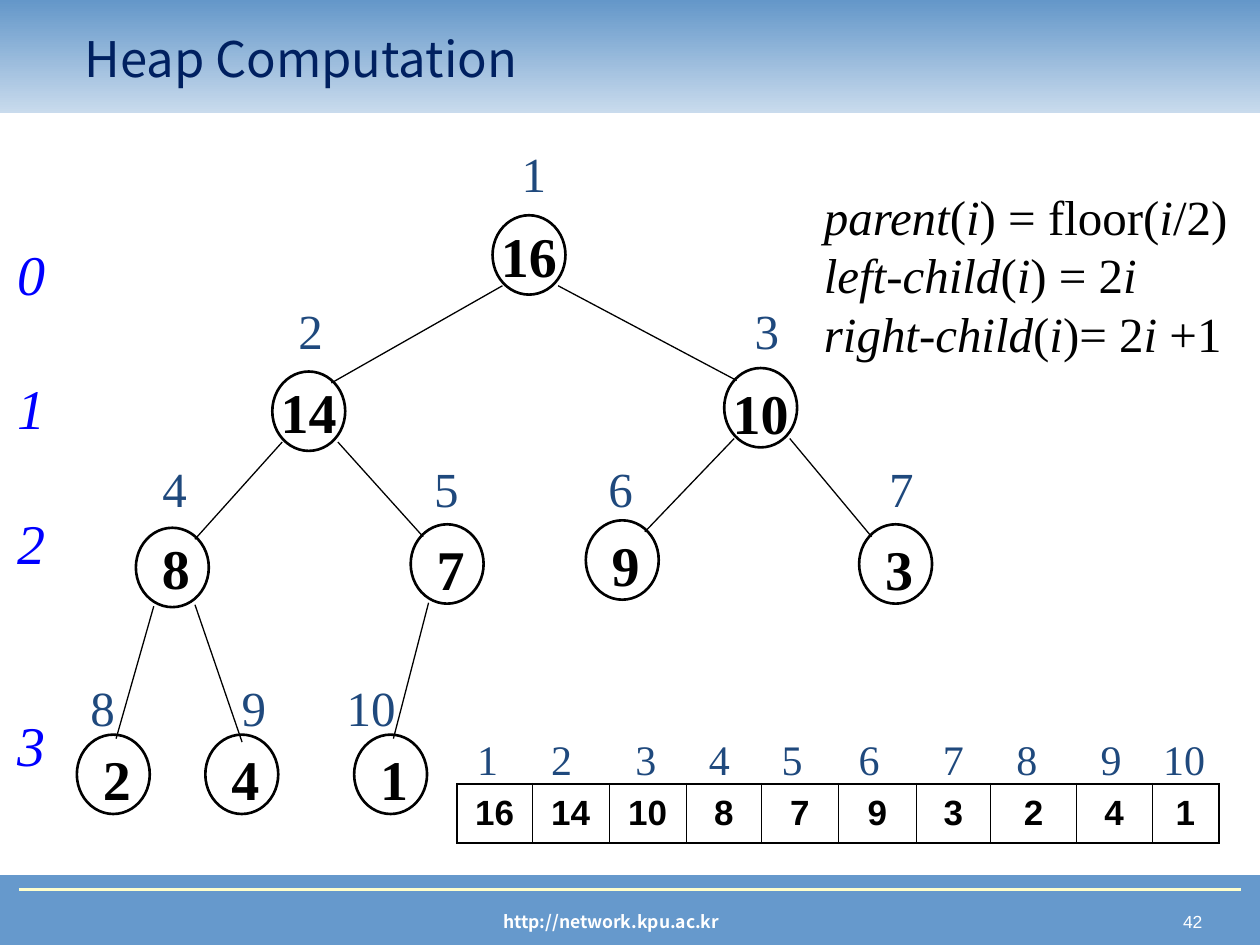
from lxml.etree import SubElement
from pptx import Presentation
from pptx.dml.color import RGBColor
from pptx.enum.shapes import MSO_CONNECTOR, MSO_SHAPE
from pptx.enum.text import MSO_ANCHOR, PP_ALIGN
from pptx.oxml.ns import qn
from pptx.util import Cm, Pt

WHITE = RGBColor(0xFF, 0xFF, 0xFF)
BLACK = RGBColor(0x00, 0x00, 0x00)
NAVY = RGBColor(0x00, 0x20, 0x60)
INDEX_BLUE = RGBColor(0x1F, 0x49, 0x7D)
LEVEL_BLUE = RGBColor(0x00, 0x00, 0xFF)
BAND_BLUE = RGBColor(0x66, 0x99, 0xCC)
HEADER_TOP = RGBColor(0x64, 0x97, 0xC9)
HEADER_BOTTOM = RGBColor(0xC9, 0xDB, 0xED)
CREAM = RGBColor(0xFF, 0xFF, 0xCC)
SERIF, SANS, KOREAN = "Times New Roman", "Arial", "Noto Sans CJK KR"

HEAP = [16, 14, 10, 8, 7, 9, 3, 2, 4, 1]
NODE_WIDTH, NODE_HEIGHT = 1.47, 1.6
# Node left and top, then the centre of its index, inside the tree box.
NODE_PLACES = [
    (8.43, 1.57, 9.26),
    (3.99, 4.72, 4.76), (13.1, 4.65, 13.96),
    (1.24, 7.87, 2.02), (6.78, 7.8, 7.5), (10.31, 7.72, 11.01), (15.82, 7.8, 16.67),
    (0.05, 12.04, 0.57), (2.64, 12.04, 3.62), (5.64, 12.04, 5.98),
]
INDEX_TOPS = [0, 3.17, 6.35, 10.77]
# Edge start in the parent and end in the child: left child, right child.
EDGE_ENDS = [((0.2, 1.42), (1.19, 0.23)), ((1.32, 1.42), (0.25, 0.25))]
LEAF_EDGE_ENDS = [((0.36, 1.58), (0.79, 0.08)), ((1.19, 1.55), (0.74, 0.15))]
COLUMN_WIDTHS = [1.52, 1.55, 1.55, 1.52, 1.55, 1.57, 1.5, 1.73, 1.52, 1.35]
INDEX_STOPS = [0.41, 1.9, 3.6, 5.08, 6.55, 8.1, 9.8, 11.28, 12.98, 14.45]


def write(frame, text, size, font, color, bold=False, align=PP_ALIGN.LEFT,
          anchor=MSO_ANCHOR.TOP, wrap=True, leading=None, gaps=(), stops=()):
    """Fill a frame, one paragraph a line; *asterisks* enclose italics."""
    frame.word_wrap = wrap
    frame.vertical_anchor = anchor
    for number, line in enumerate(text.split("\n")):
        paragraph = frame.add_paragraph() if number else frame.paragraphs[0]
        paragraph.alignment = align
        if leading:
            paragraph.line_spacing = Pt(size * leading)
        if number and gaps:
            paragraph.space_before = Pt(gaps[number - 1])
        if stops:
            tab_list = SubElement(paragraph._p.get_or_add_pPr(), qn("a:tabLst"))
            for stop in stops:
                SubElement(tab_list, qn("a:tab"), pos=str(Cm(stop)), algn="ctr")
        for part, piece in enumerate(line.split("*")):
            if piece:
                run = paragraph.add_run()
                run.text = piece
                run.font.size, run.font.name = Pt(size), font
                run.font.bold, run.font.italic = bold, part % 2 == 1
                run.font.color.rgb = color


def add_label(slide, left, top, width, height, text, size, font=SERIF, color=BLACK, **options):
    label = slide.shapes.add_textbox(Cm(left), Cm(top), Cm(width), Cm(height))
    if font == SERIF:
        options.setdefault("leading", 1.2)
    write(label.text_frame, text, size, font, color, **options)


def add_line(slide, start, end, color, width):
    line = slide.shapes.add_connector(
        MSO_CONNECTOR.STRAIGHT, *(Cm(value) for value in (*start, *end)))
    line.line.color.rgb = color
    line.line.width = Pt(width)
    SubElement(line._element.spPr, qn("a:effectLst"))


def add_outline(slide, kind, left, top, width, height):
    """Add a preset shape without shadow, fill or line."""
    outline = slide.shapes.add_shape(kind, Cm(left), Cm(top), Cm(width), Cm(height))
    outline.shadow.inherit = False
    outline.fill.background()
    outline.line.fill.background()
    return outline


def add_header(slide, left, top, width, height):
    band = add_outline(slide, MSO_SHAPE.RECTANGLE, left, top, width, height)
    band.fill.gradient()
    band.fill.gradient_angle = 90
    for stop, color in zip(band.fill.gradient_stops, (HEADER_BOTTOM, HEADER_TOP)):
        stop.color.rgb = color
    title = slide.shapes.title
    title.left, title.top = Cm(left + 1.45), Cm(top + 0.08)
    title.width, title.height = Cm(23.6), Cm(height - 0.1)
    write(title.text_frame, "Heap Computation", 28, KOREAN, NAVY, anchor=MSO_ANCHOR.MIDDLE)
    title.element.getparent().append(title.element)  # bring in front of the band


def add_footer(slide, left, top, width, height):
    band = add_outline(slide, MSO_SHAPE.RECTANGLE, left, top, width, height)
    band.fill.solid()
    band.fill.fore_color.rgb = BAND_BLUE
    band.line.color.rgb = BAND_BLUE
    band.line.width = Pt(0.75)
    add_line(slide, (left + 0.38, top + 0.28), (left + width - 0.38, top + 0.28), CREAM, 1.5)
    add_label(slide, left + 5.77, top + 0.59, 13.1, 0.69, "http://network.kpu.ac.kr", 10,
              KOREAN, WHITE, bold=True, align=PP_ALIGN.CENTER)
    add_label(slide, left + 18.85, top + 0.59, 5.64, 0.69, "42", 10,
              SANS, WHITE, align=PP_ALIGN.RIGHT)


def add_tree(slide, left, top):
    nodes = [(left + x, top + y, left + centre) for x, y, centre in NODE_PLACES]
    for index, (key, (x, y, centre)) in enumerate(zip(HEAP, nodes), start=1):
        level = index.bit_length() - 1
        if index > 1:
            parent_x, parent_y, _ = nodes[index // 2 - 1]
            ends = LEAF_EDGE_ENDS if level == 3 else EDGE_ENDS
            start, end = ends[index % 2]
            add_line(slide, (parent_x + start[0], parent_y + start[1]),
                     (x + end[0], y + end[1]), BLACK, 0.75)
        circle = add_outline(slide, MSO_SHAPE.OVAL, x, y, NODE_WIDTH, NODE_HEIGHT)
        circle.line.color.rgb = BLACK
        circle.line.width = Pt(1.5)
        key_shift = 0.27 if key > 9 else 0.2
        key_drop = 0 if index in (1, 2, 4) else 0.08
        add_label(slide, x - key_shift, y + key_drop, 2.01, 1.63, str(key), 32,
                  bold=True, align=PP_ALIGN.CENTER)
        index_width = 1.5 if index > 9 else 1
        add_label(slide, centre - index_width / 2, top + INDEX_TOPS[level], index_width, 1.45,
                  str(index), 28, color=INDEX_BLUE, align=PP_ALIGN.CENTER, wrap=False)


def add_levels(slide, left, top):
    add_label(slide, left, top, 1.07, 11.1, "*0*\n*1*\n*2*\n*3*", 32, color=LEVEL_BLUE,
              align=PP_ALIGN.CENTER, wrap=False, gaps=(38.5, 38.5, 77))


def add_formulas(slide, left, top):
    add_label(slide, left, top, 8.66, 3.81,
              "*parent*(*i*) = floor(*i*/2)\n"
              "*left-child*(*i*) = 2*i*\n"
              "*right-child*(*i*)= 2*i* +1", 28, wrap=False)


def set_borders(cell, widths):
    properties = cell._tc.get_or_add_tcPr()
    for position, (side, width) in enumerate(widths.items()):
        border = properties.makeelement(qn(f"a:{side}"), {"w": str(Pt(width))})
        fill = SubElement(border, qn("a:solidFill"))
        SubElement(fill, qn("a:srgbClr"), val=str(BLACK))
        properties.insert(position, border)


def add_array(slide, left, top):
    """Add the heap as a one-row table with its indices above."""
    last = len(HEAP) - 1
    table = slide.shapes.add_table(1, len(HEAP), Cm(left), Cm(top),
                                   Cm(sum(COLUMN_WIDTHS)), Cm(1.19)).table
    table.first_row = table.horz_banding = False
    for column, (key, width) in enumerate(zip(HEAP, COLUMN_WIDTHS)):
        table.columns[column].width = Cm(width)
        cell = table.cell(0, column)
        cell.fill.background()
        cell.vertical_anchor = MSO_ANCHOR.MIDDLE
        write(cell.text_frame, str(key), 20, SANS, BLACK, bold=True,
              align=PP_ALIGN.CENTER, anchor=None)
        set_borders(cell, {"lnL": 0.45 if column else 1.08,
                           "lnR": 0.45 if column < last else 1.08,
                           "lnT": 1.08, "lnB": 1.08})
    indices = "".join(f"\t{index}" for index in range(1, len(HEAP) + 1))
    add_label(slide, left - 0.04, top - 1.14, 15.72, 1.3, indices, 24,
              color=INDEX_BLUE, stops=INDEX_STOPS)


def main():
    presentation = Presentation()
    presentation.slide_width, presentation.slide_height = Cm(25.4), Cm(19.05)
    slide = presentation.slides.add_slide(presentation.slide_layouts[5])
    add_footer(slide, 0, 17.65, 25.4, 1.4)
    add_header(slide, 0, 0, 25.4, 2.29)
    add_tree(slide, 1.5, 2.77)
    add_levels(slide, 0.1, 4.7)
    add_formulas(slide, 16.36, 3.63)
    add_array(slide, 9.21, 15.8)
    presentation.save("out.pptx")


if __name__ == "__main__":
    main()
